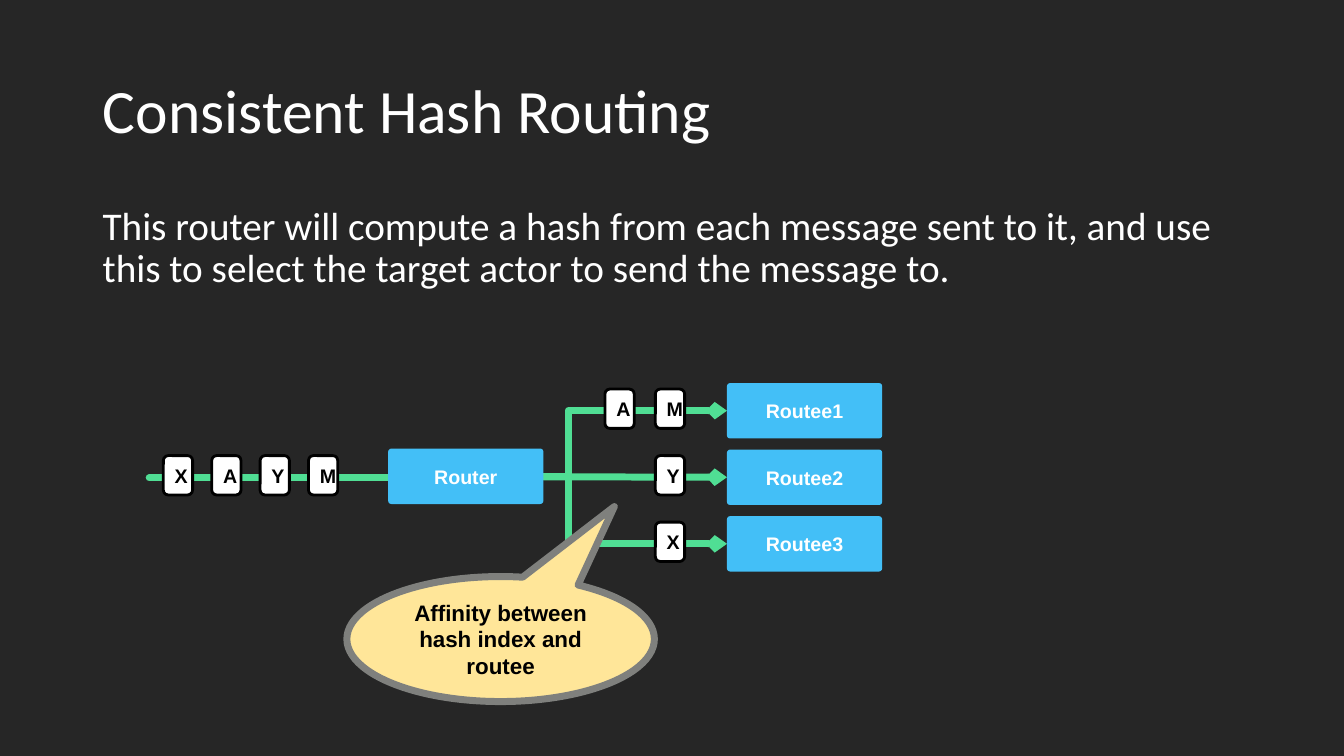
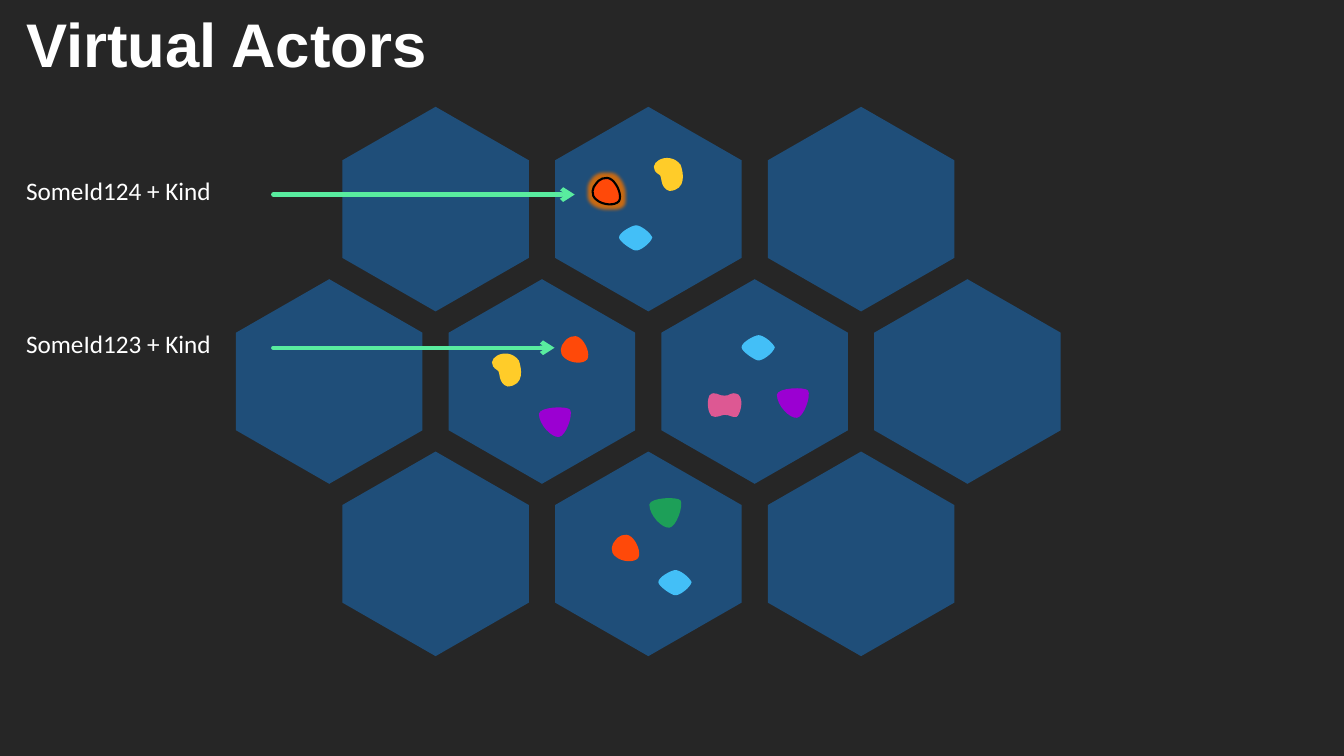
from dataclasses import dataclass

from lxml import etree
from pptx import Presentation
from pptx.dml.color import RGBColor
from pptx.enum.shapes import MSO_CONNECTOR, MSO_SHAPE
from pptx.enum.text import MSO_ANCHOR, PP_ALIGN
from pptx.oxml.ns import qn
from pptx.util import Inches, Pt

ROUNDED = MSO_SHAPE.ROUNDED_RECTANGLE
HEXAGON = MSO_SHAPE.HEXAGON
CALLOUT = MSO_SHAPE.OVAL_CALLOUT
STRAIGHT = MSO_CONNECTOR.STRAIGHT
ELBOW = MSO_CONNECTOR.ELBOW
TOP = MSO_ANCHOR.TOP
MIDDLE = MSO_ANCHOR.MIDDLE
LEFT = PP_ALIGN.LEFT
CENTER = PP_ALIGN.CENTER


@dataclass(frozen=True)
class Theme:
    background: str = "262626"
    white: str = "FFFFFF"
    black: str = "000000"
    blue: str = "43BFF7"
    navy: str = "1F4E79"
    route: str = "50DE94"
    lookup: str = "59EC9F"
    note: str = "FFE699"
    note_edge: str = "7F807D"
    yellow: str = "FFCC29"
    orange: str = "FF4909"
    glow: str = "E87000"
    purple: str = "9B00D2"
    green: str = "1D9F58"
    pink: str = "DD5893"
    heading: str = "Arial"
    body: str = "Calibri"
    title_size: int = 44
    body_size: int = 28
    label_size: int = 18
    note_size: int = 16
    node_size: int = 14


THEME = Theme()

OUTLINES = {
    "bean": [(-.17, -.10, .09, -.26, .21, -.10), (.24, -.02, .27, .15, .10, .16),
             (0, .13, .03, .01, 0, 0)],
    "pebble": [(.02, -.04, .10, -.09, .16, -.04), (.22, .01, .26, .12, .23, .17),
               (.19, .22, .07, .21, .01, .16), (-.06, .11, -.03, .03, 0, 0)],
    "shield": [(.03, .05, -.04, .26, -.11, .27), (-.18, .28, -.31, .15, -.31, .04),
               (-.30, -.03, -.03, -.04, 0, 0)],
    "lens": [(0, -.05, .13, -.12, .17, -.12), (.21, -.12, .30, -.06, .33, 0),
             (.32, .05, .21, .14, .16, .13), (.12, .12, 0, .04, 0, 0)],
    "bone": [(-.03, 0, -.08, .04, -.13, .01), (-.16, -.02, -.18, -.12, -.15, -.19),
             (-.10, -.25, -.05, -.18, 0, -.19), (.05, -.18, .06, -.24, .14, -.20),
             (.20, -.14, .15, .01, .12, .02), (.07, .03, .06, 0, 0, 0)],
}

ACTORS = {
    (0, 1): [("lens", THEME.blue, -.29, .28), ("bean", THEME.yellow, .11, -.34)],
    (1, 1): [("bean", THEME.yellow, -.44, -.11), ("pebble", THEME.orange, .22, -.39),
             ("shield", THEME.purple, .28, .28)],
    (1, 2): [("bone", THEME.pink, -.30, .33), ("shield", THEME.purple, .53, .09),
             ("lens", THEME.blue, -.13, -.34)],
    (2, 1): [("pebble", THEME.orange, -.33, -.13), ("lens", THEME.blue, .10, .28),
             ("shield", THEME.green, .32, -.53)],
}
ACTIVE_ACTOR = ("pebble", THEME.orange, -.52, -.25)


def apply_format(target, values):
    for name, value in values.items():
        setattr(target, name, value)


def rgb(value):
    return RGBColor.from_string(value)


def box(left, top, width, height):
    return [Inches(v) for v in (left, top, width, height)]


def write(holder, text, size, font, color, bold=False, frame=None, paragraph=None):
    text_frame = holder.text_frame
    text_frame.text = text
    apply_format(text_frame, {"word_wrap": True, **(frame or {})})
    line = text_frame.paragraphs[0]
    apply_format(line, paragraph or {})
    run_font = line.runs[0].font
    apply_format(run_font, {"size": Pt(size), "name": font, "bold": bold})
    run_font.color.rgb = rgb(color)


def paint(shape, fill, line=None, width=0):
    shape.shadow.inherit = False
    shape.fill.solid()
    shape.fill.fore_color.rgb = rgb(fill)
    if line:
        shape.line.color.rgb = rgb(line)
        shape.line.width = Pt(width)
    else:
        shape.line.fill.background()


def add_title(slide, text, area, font, bold, anchor, line_spacing):
    title = slide.shapes.title
    apply_format(title, dict(zip(("left", "top", "width", "height"), box(*area))))
    write(title, text, THEME.title_size, font, THEME.white, bold,
          {"vertical_anchor": anchor}, {"alignment": LEFT, "line_spacing": line_spacing})


def add_text(slide, text, area, size, line_spacing=1.0):
    write(slide.shapes.add_textbox(*box(*area)), text, size, THEME.body, THEME.white,
          paragraph={"line_spacing": line_spacing})


def add_label_shape(slide, kind, area, text, size, ink, fill, line=None, width=0,
                    adjustments=()):
    shape = slide.shapes.add_shape(kind, *box(*area))
    for index, value in enumerate(adjustments):
        shape.adjustments[index] = value
    paint(shape, fill, line, width)
    write(shape, text, size, THEME.heading, ink, True,
          {"vertical_anchor": MIDDLE}, {"alignment": CENTER})


def add_line(slide, start, end, color, width, head=None, bend=None):
    kind = STRAIGHT if bend is None else ELBOW
    connector = slide.shapes.add_connector(kind, *box(*start, *end))
    connector.line.color.rgb = rgb(color)
    connector.line.width = Pt(width)
    properties = connector._element.spPr
    outline = properties.find(qn("a:ln"))
    outline.set("cap", "rnd")
    etree.SubElement(outline, qn("a:round"))
    if head:
        etree.SubElement(outline, qn("a:tailEnd"), type="arrow", w=head, len=head)
    if bend is not None:
        guides = properties.find(qn("a:prstGeom")).find(qn("a:avLst"))
        etree.SubElement(guides, qn("a:gd"), name="adj1",
                         fmla=f"val {round(bend * 100000)}")
    etree.SubElement(properties, qn("a:effectLst"))


def add_message(slide, left, top, letter):
    add_label_shape(slide, ROUNDED, (left, top, .29, .39), letter, THEME.node_size,
                    THEME.black, THEME.white, THEME.black, 2)


def add_node(slide, left, top, name):
    add_label_shape(slide, ROUNDED, (left, top, 1.54, .55), name, THEME.node_size,
                    THEME.white, THEME.blue, adjustments=(.06,))


def add_routing(slide, left, top):
    pitch = .66
    router_left, routee_left = left + 2.37, left + 5.73
    router_right = router_left + 1.54
    router_top = top + .65
    queue_y = router_top + .28
    routes = [(2, "Routee3", "X", .135), (0, "Routee1", "MA", .135),
              (1, "Routee2", "Y", None)]
    for row, _, _, bend in routes:
        add_line(slide, (router_right, queue_y),
                 (routee_left, top + row * pitch + .275), THEME.route, 5, "sm", bend)
    add_line(slide, (left, queue_y + .01), (router_left, queue_y + .01), THEME.route, 5)
    for index, letter in enumerate("XAYM"):
        add_message(slide, left + .14 + .48 * index, router_top + .07, letter)
    add_node(slide, router_left, router_top, "Router")
    for row, name, letters, _ in routes:
        row_top = top + row * pitch
        for index, letter in enumerate(letters):
            add_message(slide, left + 5.02 - .5 * index, row_top + .06, letter)
        add_node(slide, routee_left, row_top, name)
    add_label_shape(slide, CALLOUT, (left + 1.96, top + 1.92, 3.05, 1.24),
                    "Affinity between hash index and routee", THEME.note_size,
                    THEME.black, THEME.note, THEME.note_edge, 5, (.37, -1.06))


def add_curved_outline(slide, start, segments):
    corners = [(Inches(start[0] + s[4]), Inches(start[1] + s[5])) for s in segments]
    builder = slide.shapes.build_freeform(Inches(start[0]), Inches(start[1]))
    builder.add_line_segments(corners, close=True)
    shape = builder.convert_to_shape()
    outline = next(shape._element.iter(qn("a:path")))
    origin = outline.find(qn("a:moveTo")).find(qn("a:pt"))
    x0, y0 = int(origin.get("x")), int(origin.get("y"))
    for edge, segment in zip(outline.findall(qn("a:lnTo")), segments):
        curve = etree.Element(qn("a:cubicBezTo"))
        for dx, dy in zip(segment[::2], segment[1::2]):
            etree.SubElement(curve, qn("a:pt"), x=str(x0 + Inches(dx)),
                             y=str(y0 + Inches(dy)))
        outline.replace(edge, curve)
    return shape


def add_actor(slide, center, actor, active=False):
    kind, color, dx, dy = actor
    shape = add_curved_outline(slide, (center[0] + dx, center[1] + dy), OUTLINES[kind])
    paint(shape, color, THEME.black if active else None, 1.5)
    if active:
        effects = shape._element.spPr.find(qn("a:effectLst"))
        glow = etree.SubElement(effects, qn("a:glow"), rad=str(Pt(5)))
        tint = etree.SubElement(glow, qn("a:srgbClr"), val=THEME.glow)
        etree.SubElement(tint, qn("a:alpha"), val="85000")


def add_cluster(slide, left, top):
    length, breadth = 2.03, 1.85
    column_pitch, row_pitch = 2.11, 1.71
    centers = {}
    for row, count in enumerate((3, 4, 3)):
        indent = (4 - count) * column_pitch / 2
        for column in range(count):
            x = left + breadth / 2 + indent + column * column_pitch
            y = top + length / 2 + row * row_pitch
            centers[row, column] = x, y
            cell = slide.shapes.add_shape(
                HEXAGON, *box(x - length / 2, y - breadth / 2, length, breadth))
            cell.rotation = 90
            cell.adjustments[0] = .287
            paint(cell, THEME.navy)
    for position, actors in ACTORS.items():
        for actor in actors:
            add_actor(slide, centers[position], actor)
    add_actor(slide, centers[0, 1], ACTIVE_ACTOR, active=True)


def add_lookup(slide, left, top, text, reach):
    add_text(slide, text, (left, top, 2.48, .4), THEME.label_size)
    y = top + .24
    add_line(slide, (left + 2.55, y), (left + 2.55 + reach, y), THEME.lookup, 3, "med")


def build_routing_slide(slide):
    add_title(slide, "Consistent Hash Routing", (.92, .4, 11.5, 1.45),
              THEME.body, False, MIDDLE, .9)
    add_text(slide, "This router will compute a hash from each message sent to it, "
             "and use this to select the target actor to send the message to.",
             (.92, 2, 11.5, 4.76), THEME.body_size, .9)
    add_routing(slide, 1.48, 3.8)


def build_actors_slide(slide):
    add_title(slide, "Virtual Actors", (.16, .01, 13.17, .84), THEME.heading, True,
              TOP, 1.0)
    add_cluster(slide, 2.34, 1.06)
    add_lookup(slide, .16, 1.69, "SomeId124 + Kind", 2.99)
    add_lookup(slide, .16, 3.21, "SomeId123 + Kind", 2.79)


def main():
    deck = Presentation()
    apply_format(deck, {"slide_width": Inches(13.33), "slide_height": Inches(7.5)})
    backdrop = deck.slide_master.background.fill
    backdrop.solid()
    backdrop.fore_color.rgb = rgb(THEME.background)
    title_only = deck.slide_layouts.get_by_name("Title Only")
    for build in (build_routing_slide, build_actors_slide):
        build(deck.slides.add_slide(title_only))
    deck.save("out.pptx")


if __name__ == "__main__":
    main()
